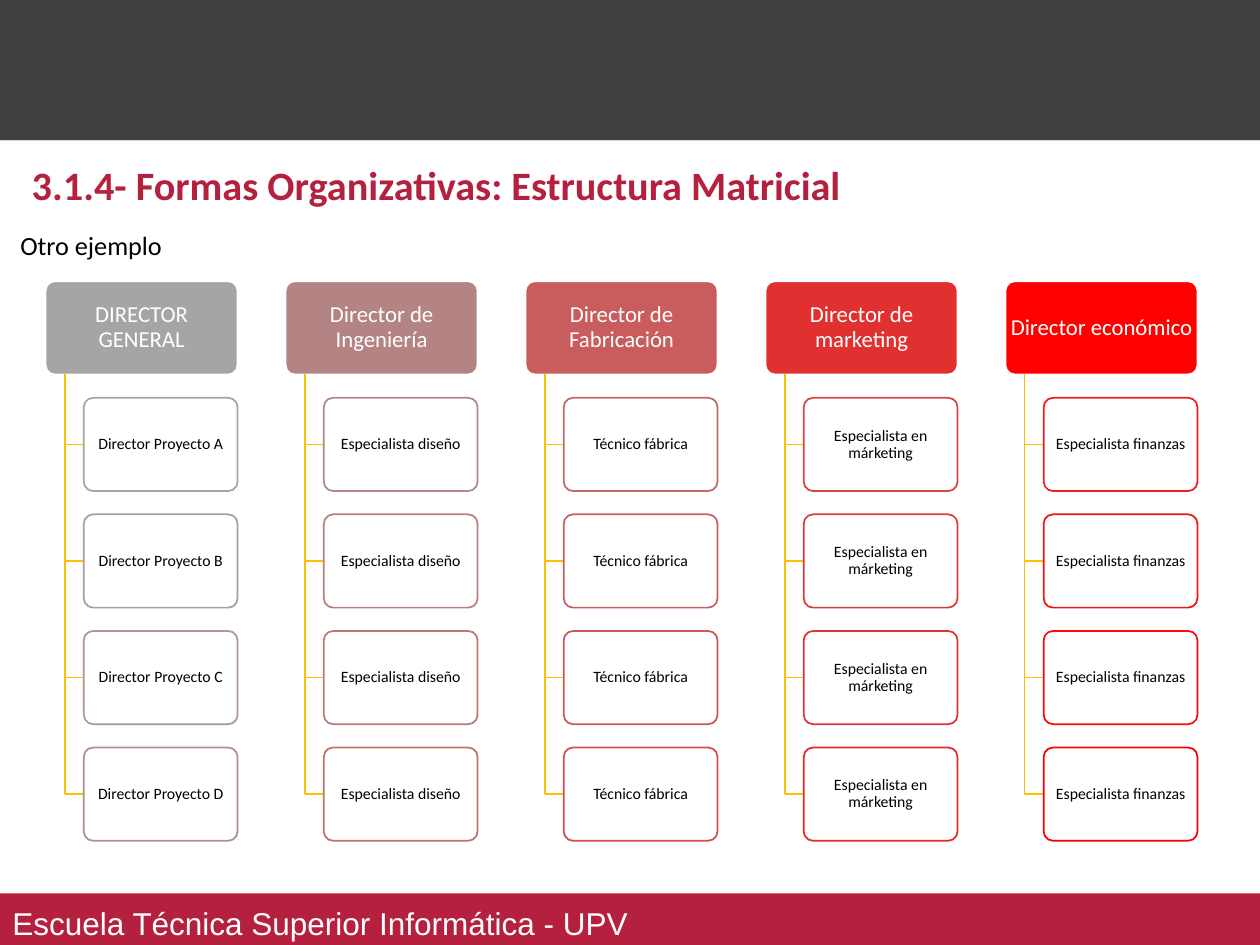
from colorsys import hls_to_rgb
from dataclasses import dataclass

from lxml.etree import SubElement
from pptx import Presentation
from pptx.dml.color import RGBColor
from pptx.enum.shapes import MSO_CONNECTOR, MSO_SHAPE
from pptx.enum.text import MSO_ANCHOR, MSO_AUTO_SIZE, PP_ALIGN
from pptx.oxml.ns import qn
from pptx.util import Cm, Pt

COLUMNS = [
    ("DIRECTOR GENERAL", [f"Director Proyecto {letter}" for letter in "ABCD"]),
    ("Director de Ingeniería", ["Especialista diseño"] * 4),
    ("Director de Fabricación", ["Técnico fábrica"] * 4),
    ("Director de marketing", ["Especialista en márketing"] * 4),
    ("Director económico", ["Especialista finanzas"] * 4),
]

# Chart geometry in centimetres
CHART_LEFT, CHART_TOP = 0.92, 5.67
HEAD_WIDTH, BOX_HEIGHT = 3.87, 1.88
MEMBER_WIDTH, MEMBER_INDENT = 3.1, 0.77
TRUNK_INDENT = MEMBER_INDENT / 2
COLUMN_PITCH, ROW_PITCH = 1.25 * HEAD_WIDTH, 1.25 * BOX_HEIGHT


@dataclass(frozen=True)
class Theme:
    font: str = "Calibri"
    footer_font: str = "Arial"
    crimson: str = "B5203F"
    dark: str = "404040"
    rule: str = "D7D7D7"
    branch: str = "FFC000"
    white: str = "FFFFFF"
    black: str = "000000"
    title_size: float = 23
    footer_size: float = 18
    subtitle_size: float = 15
    head_size: float = 13
    member_size: float = 9


THEME = Theme()


def ramp_color(fraction):
    """Blend from mid grey (0) to pure red (1) through saturation and lightness."""
    lightness = 0.647 + (0.5 - 0.647) * fraction
    channels = hls_to_rgb(0, lightness, fraction)
    return "".join(f"{round(channel * 255):02X}" for channel in channels)


def write_text(shape, text, *, size, color, font=THEME.font, bold=False,
               align=PP_ALIGN.LEFT, anchor=MSO_ANCHOR.MIDDLE, margin=0.13, spacing=0.9):
    frame = shape.text_frame
    frame.word_wrap = True
    frame.auto_size = MSO_AUTO_SIZE.NONE
    frame.vertical_anchor = anchor
    frame.margin_left = frame.margin_right = Cm(margin)
    frame.margin_top = frame.margin_bottom = Cm(margin)
    frame.text = text
    paragraph = frame.paragraphs[0]
    paragraph.alignment = align
    paragraph.line_spacing = spacing
    paragraph.font.name = font
    paragraph.font.size = Pt(size)
    paragraph.font.bold = bold
    paragraph.font.color.rgb = RGBColor.from_string(color)


class SlideBuilder:
    def __init__(self, slide, theme):
        self.slide = slide
        self.theme = theme
        self.shapes = slide.shapes

    def start_group(self):
        """Send the elements that follow into a new group."""
        self.shapes = self.slide.shapes.add_group_shape().shapes

    def title(self, text, left, top, width, height):
        title = self.slide.shapes.title
        title.left, title.top, title.width, title.height = map(Cm, (left, top, width, height))
        write_text(title, text, size=self.theme.title_size, color=self.theme.crimson, bold=True)

    def label(self, text, left, top, width, height):
        box = self.shapes.add_textbox(*map(Cm, (left, top, width, height)))
        write_text(box, text, size=self.theme.subtitle_size, color=self.theme.black,
                   anchor=MSO_ANCHOR.TOP)

    def rule(self, left, top, right):
        line = self.shapes.add_connector(MSO_CONNECTOR.STRAIGHT, Cm(left), Cm(top),
                                         Cm(right), Cm(top))
        line.line.color.rgb = RGBColor.from_string(self.theme.rule)
        line.line.width = Pt(0.75)
        SubElement(line._element.spPr, qn("a:effectLst"))

    def band(self, top, height, fill):
        band = self.shapes.add_shape(MSO_SHAPE.RECTANGLE, 0, Cm(top), Cm(25.4), Cm(height))
        band.shadow.inherit = False
        band.fill.solid()
        band.fill.fore_color.rgb = RGBColor.from_string(fill)
        band.line.fill.background()
        return band

    def card(self, text, left, top, width, *, fill, outline, color, size, margin, opacity=100):
        card = self.shapes.add_shape(MSO_SHAPE.ROUNDED_RECTANGLE,
                                     *map(Cm, (left, top, width, BOX_HEIGHT)))
        card.adjustments[0] = 0.1
        card.shadow.inherit = False
        card.fill.solid()
        card.fill.fore_color.rgb = RGBColor.from_string(fill)
        if opacity < 100:
            fill_color = card._element.spPr.find(qn("a:solidFill"))[0]
            SubElement(fill_color, qn("a:alpha"), val=str(opacity * 1000))
        card.line.color.rgb = RGBColor.from_string(outline)
        card.line.width = Pt(1)
        write_text(card, text, size=size, color=color, align=PP_ALIGN.CENTER, margin=margin)

    def branch(self, left, top, right, bottom):
        """Draw an open L: down from a head, then right to a member."""
        builder = self.shapes.build_freeform(Cm(left), Cm(top))
        builder.add_line_segments([(Cm(left), Cm(bottom)), (Cm(right), Cm(bottom))], close=False)
        branch = builder.convert_to_shape()
        branch.shadow.inherit = False
        branch.fill.background()
        branch.line.color.rgb = RGBColor.from_string(self.theme.branch)
        branch.line.width = Pt(1)

    def column(self, index, head, members):
        theme = self.theme
        left = CHART_LEFT + index * COLUMN_PITCH
        self.card(head, left, CHART_TOP, HEAD_WIDTH, fill=ramp_color(index / (len(COLUMNS) - 1)),
                  outline=theme.white, color=theme.white, size=theme.head_size, margin=0.05)
        last_member = len(COLUMNS) * len(members) - 1
        for row, member in enumerate(members):
            top = CHART_TOP + (row + 1) * ROW_PITCH
            member_left = left + MEMBER_INDENT
            self.branch(left + TRUNK_INDENT, CHART_TOP + BOX_HEIGHT,
                        member_left, top + BOX_HEIGHT / 2)
            outline = ramp_color((index * len(members) + row) / last_member)
            self.card(member, member_left, top, MEMBER_WIDTH, fill=theme.white, outline=outline,
                      color=theme.black, size=theme.member_size, margin=0.03, opacity=90)


def main():
    presentation = Presentation()
    presentation.slide_width, presentation.slide_height = Cm(25.4), Cm(19.05)
    slide = presentation.slides.add_slide(presentation.slide_layouts[5])
    builder = SlideBuilder(slide, THEME)

    builder.rule(0, 2.82, 25.4)
    builder.band(0, 2.82, THEME.dark)
    footer = builder.band(18.01, 1.19, THEME.crimson)
    write_text(footer, "Escuela Técnica Superior Informática - UPV", size=THEME.footer_size,
               color=THEME.white, font=THEME.footer_font, margin=0.25, spacing=1.0)
    builder.title("3.1.4- Formas Organizativas: Estructura Matricial", 0.51, 2.82, 24.36, 1.93)
    builder.label("Otro ejemplo", 0.28, 4.57, 25.1, 0.89)

    builder.start_group()
    for index, (head, members) in enumerate(COLUMNS):
        builder.column(index, head, members)

    presentation.save("out.pptx")


if __name__ == "__main__":
    main()
